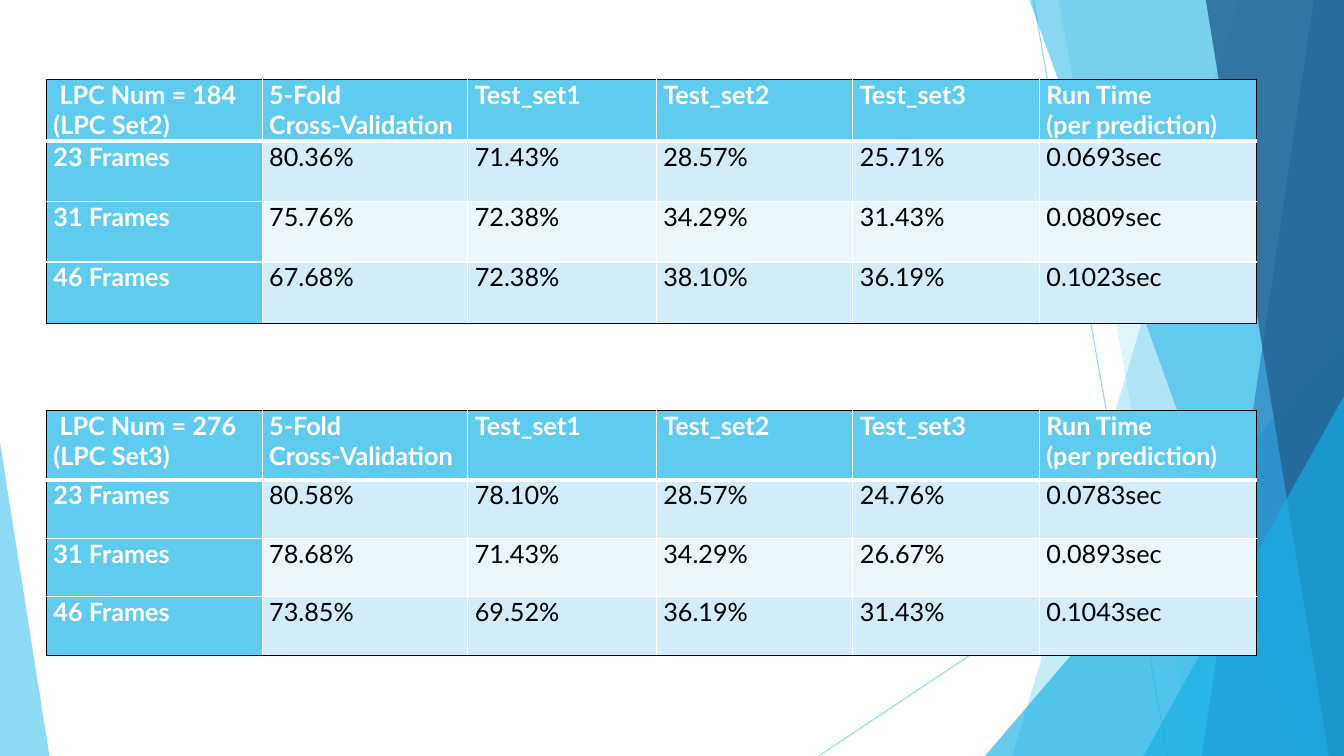
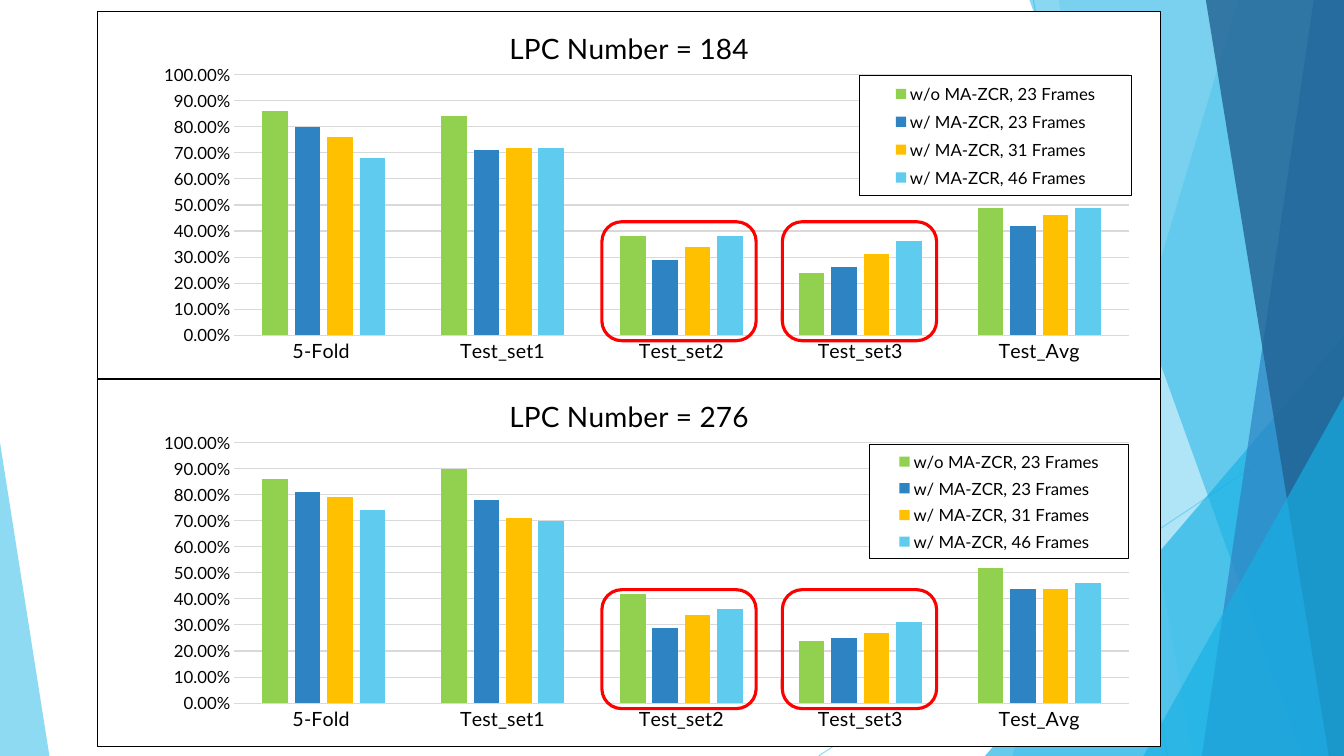
from lxml import etree
from pptx import Presentation
from pptx.chart.data import CategoryChartData
from pptx.dml.color import RGBColor
from pptx.enum.chart import XL_CHART_TYPE, XL_LEGEND_POSITION, XL_TICK_MARK
from pptx.enum.shapes import MSO_CONNECTOR, MSO_SHAPE
from pptx.oxml import parse_xml
from pptx.oxml.ns import nsdecls, qn
from pptx.util import Inches, Pt

FONT = "Lato"
SKY = RGBColor(0x5F, 0xCB, 0xEF)
CYAN = RGBColor(0x17, 0xB0, 0xE4)
BLUE = RGBColor(0x2E, 0x83, 0xC3)
NAVY = RGBColor(0x22, 0x62, 0x92)
GREEN = RGBColor(0x92, 0xD0, 0x50)
AMBER = RGBColor(0xFF, 0xC0, 0x00)
RED = RGBColor(0xFF, 0x00, 0x00)
BLACK = RGBColor(0x00, 0x00, 0x00)
WHITE = RGBColor(0xFF, 0xFF, 0xFF)
GRID = RGBColor(0xD9, 0xD9, 0xD9)
BAND_DARK = RGBColor(0xD2, 0xEC, 0xF9)
BAND_LIGHT = RGBColor(0xEA, 0xF6, 0xFC)

WIDTH, HEIGHT = 13.33, 7.5

# Backdrop: line ends, then facets with colour and opacity
LINES = [((10.25, 0), (11.58, HEIGHT)), ((WIDTH, 4.03), (8.12, HEIGHT))]
FACETS = [  # top-left x, bottom-left x; each runs to the right edge
    (12.28, 10.04, SKY, 36),
    (10.5, 11.83, SKY, 20),
    ((9.77, 3.33, 3.56), 1, CYAN, 66),  # triangle: (left, top, width), apex
    (10.21, 12.91, CYAN, 50),
    (13.03, 11.92, BLUE, 70),
    (11.96, 13.18, NAVY, 80),
    ((11.34, 3.93, 1.99), 1, CYAN, 66),
    ((0, 4.39, 0.49), 0, SKY, 70),
]

# Results in percent: 5-fold, three test sets; then run time
HEADINGS = ["5-Fold\nCross-Validation", "Test_set1", "Test_set2", "Test_set3",
            "Run Time\n(per prediction)"]
COL_WIDTHS = [2.14, 2.04, 1.87, 1.95, 1.85, 2.15]
TABLE_LEFT = 0.46
CATEGORIES = ["5-Fold ", "Test_set1", "Test_set2", "Test_set3", "Test_Avg"]
SERIES_COLORS = [GREEN, BLUE, AMBER, SKY]
RESULTS = [
    {
        "lpc": 184, "set": "LPC Set2",
        "frames": {
            23: ([80.36, 71.43, 28.57, 25.71], "0.0693sec"),
            31: ([75.76, 72.38, 34.29, 31.43], "0.0809sec"),
            46: ([67.68, 72.38, 38.10, 36.19], "0.1023sec"),
        },
        "without": [0.86, 0.84, 0.38, 0.24, 0.49],
        "table_top": 0.79, "rows": [0.61, 0.6, 0.6, 0.61],
        "chart_top": 0.11, "legend": (7.57, 0.64, 2.7, 1.19),
        "marks_top": 2.2,
    },
    {
        "lpc": 276, "set": "LPC Set3",
        "frames": {
            23: ([80.58, 78.10, 28.57, 24.76], "0.0783sec"),
            31: ([78.68, 71.43, 34.29, 26.67], "0.0893sec"),
            46: ([73.85, 69.52, 36.19, 31.43], "0.1043sec"),
        },
        "without": [0.86, 0.9, 0.42, 0.24, 0.52],
        "table_top": 4.07, "rows": [0.69, 0.58, 0.58, 0.58],
        "chart_top": 3.76, "legend": (7.67, 0.65, 2.57, 1.13),
        "marks_top": 5.85,
    },
]
# Chart parts in inches within the chart
CHART_LEFT, CHART_WIDTH, CHART_HEIGHT = 0.96, 10.56, 3.65
PLOT_BOX = (1.36, 0.63, 8.88, 2.59)
TITLE_CORNER = (4.04, 0.11)
MARK_LEFTS, MARK_WIDTH, MARK_HEIGHT = (5.97, 7.76), 1.53, 1.18


def set_font(font, size, color=BLACK, bold=False):
    font.name, font.size, font.bold = FONT, Pt(size), bold
    font.color.rgb = color


def set_opacity(sp, percent):
    color = sp.element.spPr.find(".//" + qn("a:srgbClr"))
    etree.SubElement(color, qn("a:alpha")).set("val", str(percent * 1000))


# Backdrop
def facet(shapes, start, end, color, opacity):
    if isinstance(start, tuple):
        left, top, width = start
        sp = shapes.add_shape(MSO_SHAPE.ISOSCELES_TRIANGLE, Inches(left), Inches(top),
                              Inches(width), Inches(HEIGHT - top))
        sp.adjustments[0] = end
    else:
        outline = [(WIDTH, 0), (WIDTH, HEIGHT), (end, HEIGHT)]
        builder = shapes.build_freeform(Inches(start), 0)
        builder.add_line_segments([(Inches(x), Inches(y)) for x, y in outline], close=True)
        sp = builder.convert_to_shape()
    sp.shadow.inherit = False
    sp.fill.solid()
    sp.fill.fore_color.rgb = color
    sp.line.fill.background()
    set_opacity(sp, opacity)
    return sp


def backdrop_line(shapes, begin, end):
    sp = shapes.add_connector(MSO_CONNECTOR.STRAIGHT, *map(Inches, begin + end))
    sp.line.color.rgb = SKY
    sp.line.width = Pt(0.75)
    set_opacity(sp, 70)
    etree.SubElement(sp.element.spPr, qn("a:effectLst"))
    return sp


def move_backdrop_to_layout(slide, layout):
    parts = [backdrop_line(slide.shapes, *ends) for ends in LINES]
    parts += [facet(slide.shapes, *row) for row in FACETS]
    for number, sp in enumerate(parts, start=100):
        sp.element.find(".//" + qn("p:cNvPr")).set("id", str(number))
        layout.shapes.element.append(sp.element)


# Tables
def set_borders(cell, sides):
    tc_pr = cell._tc.get_or_add_tcPr()
    for i, (side, (color, width)) in enumerate(sides.items()):
        tc_pr.insert(i, parse_xml(
            f'<a:ln{side} {nsdecls("a")} w="{Pt(width)}"><a:solidFill>'
            f'<a:srgbClr val="{color}"/></a:solidFill></a:ln{side}>'))


def add_result_table(slide, result):
    grid = [[f" LPC Num = {result['lpc']}\n({result['set']})"] + HEADINGS]
    for count, (scores, seconds) in result["frames"].items():
        grid.append([f"{count} Frames"] + [f"{v:.2f}%" for v in scores] + [seconds])
    last_row, last_col = len(grid) - 1, len(COL_WIDTHS) - 1
    table = slide.shapes.add_table(
        len(grid), len(COL_WIDTHS), Inches(TABLE_LEFT), Inches(result["table_top"]),
        Inches(sum(COL_WIDTHS)), Inches(sum(result["rows"]))).table
    for column, width in zip(table.columns, COL_WIDTHS):
        column.width = Inches(width)
    outer, inner, rule = (BLACK, 1), (WHITE, 1), (WHITE, 3)
    for r, row in enumerate(grid):
        table.rows[r].height = Inches(result["rows"][r])
        for c, text in enumerate(row):
            cell = table.cell(r, c)
            heading = r == 0 or c == 0
            cell.text = text
            cell.margin_left = cell.margin_right = Inches(0.07)
            cell.margin_top = cell.margin_bottom = 0
            for p in cell.text_frame.paragraphs:
                set_font(p.font, 18, WHITE if heading else BLACK, heading)
            cell.fill.solid()
            band = BAND_DARK if r % 2 else BAND_LIGHT
            cell.fill.fore_color.rgb = SKY if heading else band
            set_borders(cell, {
                "L": outer if c == 0 else inner,
                "R": outer if c == last_col else inner,
                "T": outer if r == 0 else rule if r == 1 else inner,
                "B": rule if r == 0 else outer if r == last_row else inner,
            })


# Charts
def set_layout(parent, after, box, inner=False):
    """Place a chart part by (left, top[, width, height]), after the named child."""
    for old in parent.findall(qn("c:layout")):
        parent.remove(old)
    fields = [("layoutTarget", "inner")] if inner else []
    fields += [("xMode", "edge"), ("yMode", "edge")]
    fields += [(name, length / whole) for name, length, whole
               in zip("xywh", box, (CHART_WIDTH, CHART_HEIGHT) * 2)]
    body = "".join(f'<c:{name} val="{value}"/>' for name, value in fields)
    layout = parse_xml(f'<c:layout {nsdecls("c")}><c:manualLayout>{body}'
                       '</c:manualLayout></c:layout>')
    parent.insert(parent.index(parent.find(qn(after))) + 1 if after else 0, layout)


def add_box_after(element):
    """White fill and thin black border."""
    element.addnext(parse_xml(
        f'<c:spPr {nsdecls("c", "a")}><a:solidFill><a:srgbClr val="{WHITE}"/></a:solidFill>'
        f'<a:ln w="{Pt(0.75)}"><a:solidFill><a:srgbClr val="{BLACK}"/></a:solidFill></a:ln>'
        '</c:spPr>'))


def chart_series(result):
    series = [("w/o MA-ZCR, 23 Frames", result["without"])]
    for count, (scores, _) in result["frames"].items():
        percents = scores + [sum(scores[1:]) / 3]
        series.append((f"w/ MA-ZCR, {count} Frames", [round(v / 100, 2) for v in percents]))
    return series


def add_result_chart(slide, result):
    data = CategoryChartData(number_format="0.00%")
    data.categories = CATEGORIES
    for name, values in chart_series(result):
        data.add_series(name, values)
    chart = slide.shapes.add_chart(
        XL_CHART_TYPE.COLUMN_CLUSTERED, Inches(CHART_LEFT), Inches(result["chart_top"]),
        Inches(CHART_WIDTH), Inches(CHART_HEIGHT), data).chart
    set_font(chart.font, 10)
    space = chart.element
    add_box_after(space.find(qn("c:chart")))
    set_layout(space.find(".//" + qn("c:plotArea")), None, PLOT_BOX, inner=True)

    # Title
    p = chart.chart_title.text_frame.paragraphs[0]
    p.text = f"LPC Number = {result['lpc']}"
    set_font(p.font, 20)
    set_layout(space.find(".//" + qn("c:title")), "c:tx", TITLE_CORNER)

    # Columns
    plot = chart.plots[0]
    plot.gap_width, plot.overlap, plot.vary_by_categories = 219, -27, False
    for series, color in zip(plot.series, SERIES_COLORS):
        series.format.fill.solid()
        series.format.fill.fore_color.rgb = color

    # Axes
    for axis, size in ((chart.category_axis, 14), (chart.value_axis, 12)):
        set_font(axis.tick_labels.font, size)
        axis.major_tick_mark = axis.minor_tick_mark = XL_TICK_MARK.NONE
    value_axis = chart.value_axis
    value_axis.minimum_scale, value_axis.maximum_scale, value_axis.major_unit = 0, 1, 0.1
    value_axis.tick_labels.number_format = "0.00%"
    value_axis.tick_labels.number_format_is_linked = False
    value_axis.format.line.fill.background()
    for line in (chart.category_axis.format.line, value_axis.major_gridlines.format.line):
        line.color.rgb = GRID
        line.width = Pt(0.75)

    # Legend
    chart.has_legend = True
    legend = chart.legend
    legend.position = XL_LEGEND_POSITION.BOTTOM
    legend.include_in_layout = False
    set_font(legend.font, 12)
    box = space.find(".//" + qn("c:legend"))
    set_layout(box, "c:legendPos", result["legend"])
    add_box_after(box.find(qn("c:overlay")))


def add_marks(slide, top):
    for left in MARK_LEFTS:
        sp = slide.shapes.add_shape(MSO_SHAPE.ROUNDED_RECTANGLE, Inches(left), Inches(top),
                                    Inches(MARK_WIDTH), Inches(MARK_HEIGHT))
        sp.shadow.inherit = False
        sp.fill.background()
        sp.line.color.rgb = RED
        sp.line.width = Pt(2.25)


def main():
    prs = Presentation()
    prs.slide_width, prs.slide_height = Inches(WIDTH), Inches(HEIGHT)
    blank = prs.slide_layouts[6]
    table_slide, chart_slide = (prs.slides.add_slide(blank) for _ in range(2))
    move_backdrop_to_layout(table_slide, blank)
    for result in RESULTS:
        add_result_table(table_slide, result)
        add_result_chart(chart_slide, result)
    for result in RESULTS:
        add_marks(chart_slide, result["marks_top"])
    prs.save("out.pptx")


if __name__ == "__main__":
    main()
